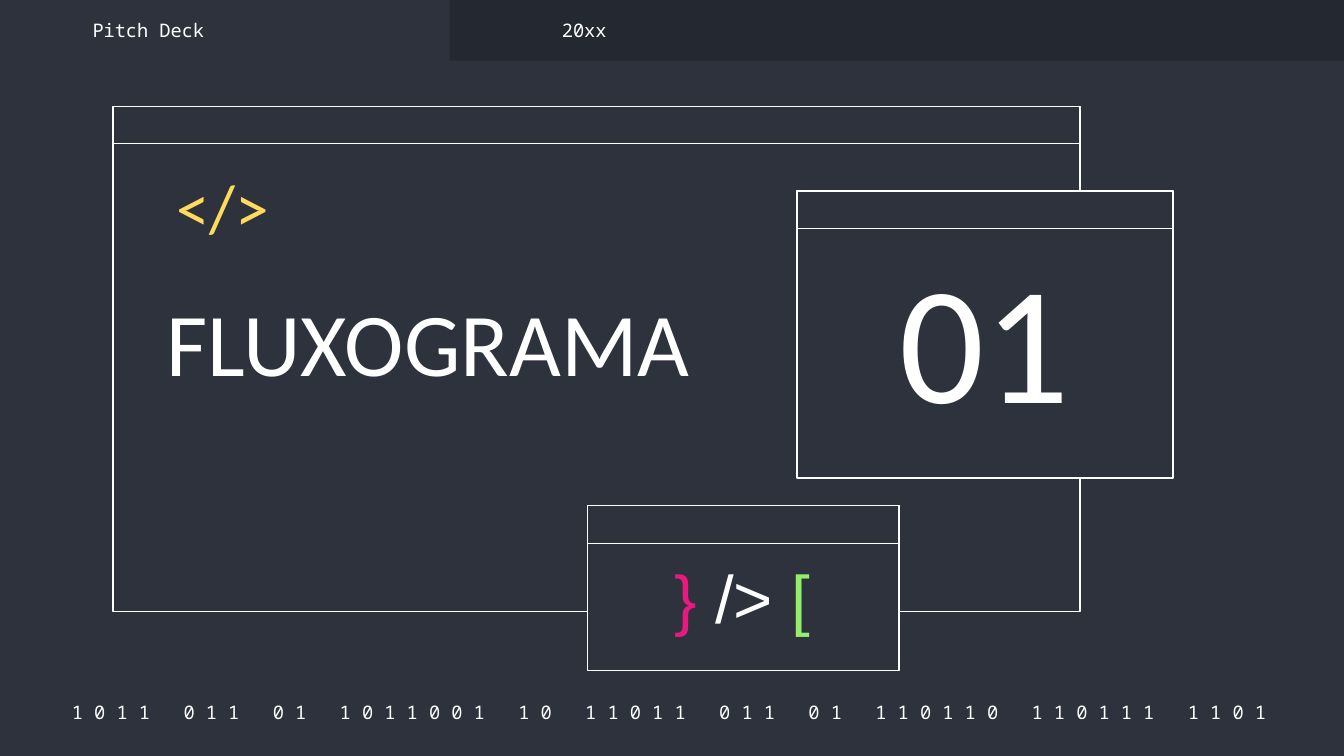
from pptx import Presentation
from pptx import util as u
from pptx.dml.color import RGBColor
from pptx.enum import shapes, text

COLORS = {
    "back": "2D323C",
    "dark": "242830",
    "white": "FFFFFF",
    "gold": "FFDB5D",
    "pink": "E81981",
    "green": "94EE6B",
}
MONO, SANS, ARIAL = "Noto Sans Mono", "Calibri", "Arial"
LEFT, MID, RIGHT = text.PP_ALIGN.LEFT, text.PP_ALIGN.CENTER, text.PP_ALIGN.RIGHT
TOP, CENTER, BOTTOM = (text.MSO_ANCHOR.TOP, text.MSO_ANCHOR.MIDDLE,
                       text.MSO_ANCHOR.BOTTOM)


def color(name):
    return RGBColor.from_string(COLORS[name])


class Deck:
    """Holds the style and the current slide; all boxes are in cm."""

    bar = 0.71  # height of a window's title bar
    inset = 0.25

    def __init__(self, width, height):
        self.prs = Presentation()
        self.prs.slide_width, self.prs.slide_height = u.Cm(width), u.Cm(height)
        self.slide = None

    def page(self, layout):
        self.slide = self.prs.slides.add_slide(self.prs.slide_layouts[layout])
        fill = self.slide.background.fill
        fill.solid()
        fill.fore_color.rgb = color("back")

    def rect(self, box, fill, line=None):
        shape = self.slide.shapes.add_shape(
            shapes.MSO_SHAPE.RECTANGLE, *map(u.Cm, box))
        shape.shadow.inherit = False
        shape.fill.solid()
        shape.fill.fore_color.rgb = color(fill)
        if line:
            shape.line.color.rgb = color(line)
            shape.line.width = u.Pt(0.75)
        else:
            shape.line.fill.background()

    def window(self, left, top, width, height):
        for tall in (height, self.bar):
            self.rect((left, top, width, tall), "back", "white")

    def letter(self, shape, runs, size, font, align, anchor, space=1.0):
        frame = shape.text_frame
        frame.word_wrap = True
        frame.auto_size = text.MSO_AUTO_SIZE.NONE
        frame.vertical_anchor = anchor
        frame.margin_left = frame.margin_right = u.Cm(self.inset)
        frame.margin_top = frame.margin_bottom = u.Cm(self.inset)
        para = frame.paragraphs[0]
        para.alignment, para.line_spacing = align, space
        para.space_before = u.Pt(0)
        for words, tint in runs:
            run = para.add_run()
            run.text = words
            run.font.size, run.font.name = u.Pt(size), font
            run.font.color.rgb = color(tint)

    def label(self, box, runs, size, font, align=LEFT, anchor=TOP, space=1.0):
        shape = self.slide.shapes.add_textbox(*map(u.Cm, box))
        self.letter(shape, runs, size, font, align, anchor, space)

    def holder(self, index, box, words, size, align, anchor):
        shape = self.slide.placeholders[index]
        shape.left, shape.top, shape.width, shape.height = map(u.Cm, box)
        # Bring the placeholder in front of the windows
        shape.element.getparent().append(shape.element)
        self.letter(shape, [(words, "white")], size, SANS, align, anchor)

    def save(self):
        self.prs.save("out.pptx")


def main():
    deck = Deck(25.4, 14.29)
    deck.page(0)

    # Binary footer
    words = "1011 011 01 1011001 10 11011 011 01 110110 110111 1101".split()
    bits = "   ".join(" ".join(word) for word in words)
    deck.label((0.97, 13.21, 23.55, 0.51), [(bits + " ", "white")],
               10, MONO, MID, CENTER)

    # Header tabs
    deck.rect((8.5, 0, 16.9, 1.15), "dark")
    for left, words in ((1.5, "Pitch Deck"), (10.37, "20xx")):
        deck.label((left, 0.32, 5.56, 0.51), [(words, "white")],
                   10, MONO, LEFT, CENTER)

    # Windows, from back to front
    deck.window(2.14, 2.01, 18.27, 9.55)
    deck.window(11.1, 9.56, 5.89, 3.12)
    deck.window(15.06, 3.61, 7.11, 5.43)

    # Title and section number
    deck.holder(0, (2.9, 5.18, 12.17, 2.29), "FLUXOGRAMA", 48, LEFT, TOP)
    deck.holder(1, (15.52, 4.32, 6.17, 4.19), "01", 90, MID, BOTTOM)

    # Code symbols
    deck.label((2.34, 3.05, 3, 1.57), [("</>", "gold")],
               36, SANS, RIGHT, space=0.9)
    deck.label((12.34, 10.44, 3.38, 2.08),
               [("}", "pink"), (" /> ", "white"), ("[", "green")],
               36, ARIAL, MID, space=0.9)

    deck.save()


if __name__ == "__main__":
    main()
